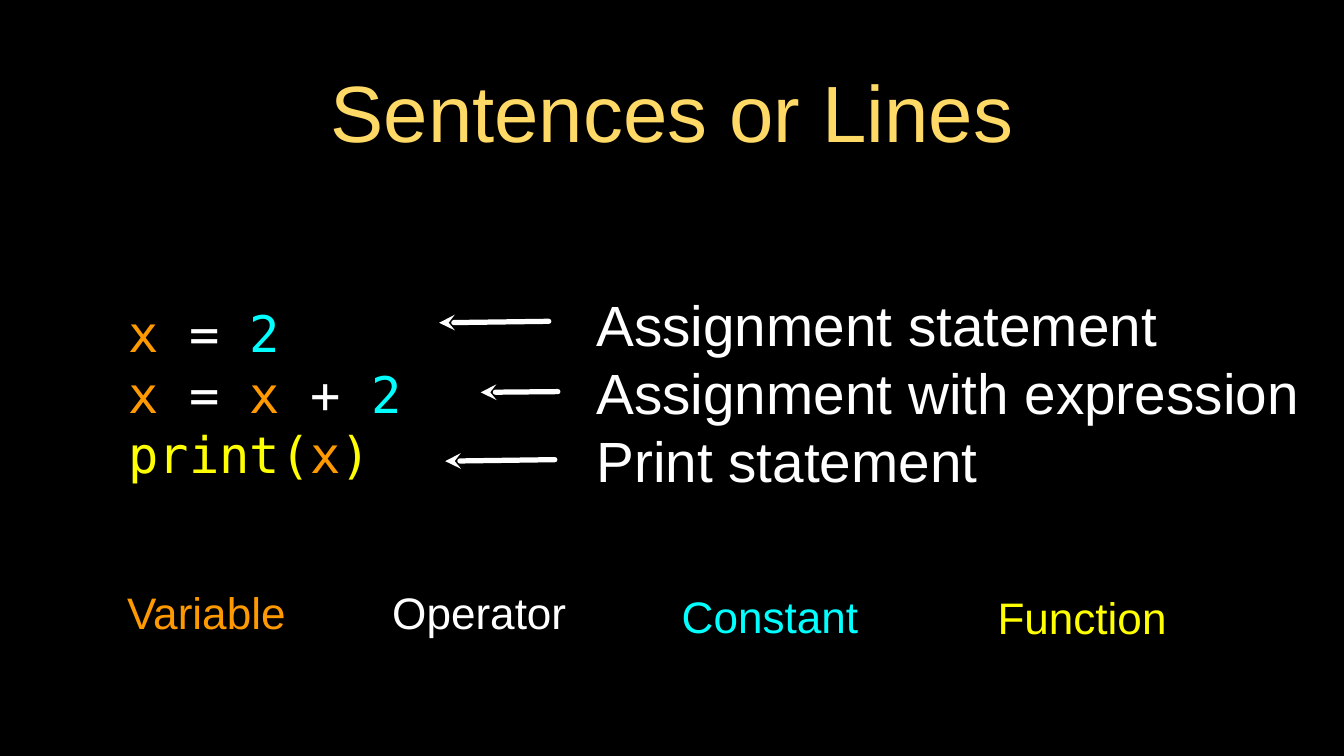
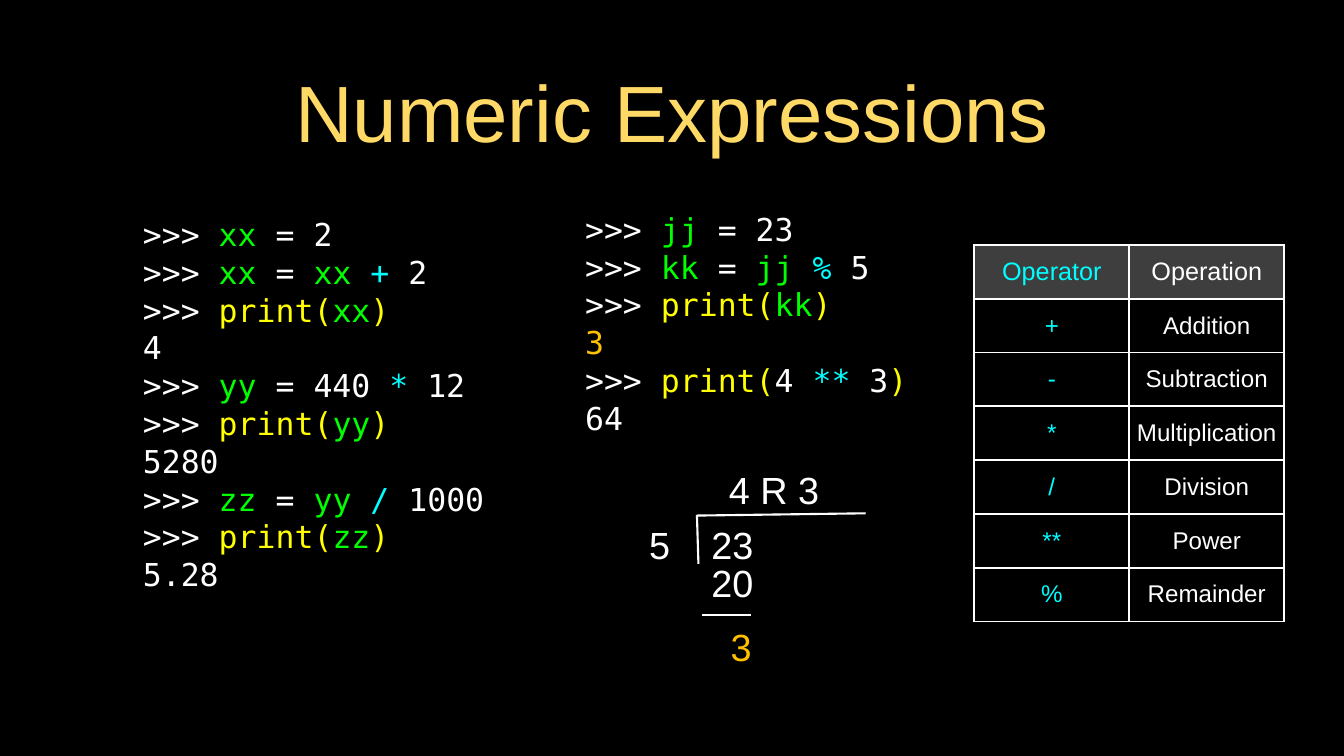
from lxml.etree import SubElement
from pptx import Presentation
from pptx.dml.color import RGBColor
from pptx.enum.shapes import MSO_CONNECTOR
from pptx.enum.text import MSO_ANCHOR, PP_ALIGN
from pptx.oxml import parse_xml
from pptx.oxml.ns import nsdecls, qn
from pptx.util import Inches, Pt

BLACK = RGBColor(0x00, 0x00, 0x00)
WHITE = RGBColor(0xFF, 0xFF, 0xFF)
GOLD = RGBColor(0xFF, 0xD9, 0x66)
AMBER = RGBColor(0xFF, 0xC0, 0x00)
ORANGE = RGBColor(0xFF, 0x99, 0x00)
CYAN = RGBColor(0x00, 0xFF, 0xFF)
YELLOW = RGBColor(0xFF, 0xFF, 0x00)
GREEN = RGBColor(0x00, 0xFF, 0x00)
GRAY = RGBColor(0x7F, 0x7F, 0x7F)

SANS = "Arial"
MONO = "DejaVu Sans Mono"
LEFT, CENTER = PP_ALIGN.LEFT, PP_ALIGN.CENTER
LINE_HEIGHT = 1.2
CELL_INSET = 0.04
HEADER_ALPHA = 49


class Deck:
    def __init__(self, width, height):
        self.presentation = Presentation()
        self.presentation.slide_width = Inches(width)
        self.presentation.slide_height = Inches(height)
        self.slide = None

    def new_slide(self, title):
        layout = self.presentation.slide_layouts[6]
        self.slide = self.presentation.slides.add_slide(layout)
        fill = self.slide.background.fill
        fill.solid()
        fill.fore_color.rgb = BLACK
        self.text((0.89, 0.86, 16, 1.21), [[(title, GOLD)]], 76)

    def add_runs(self, paragraph, runs, size, font, align):
        paragraph.alignment = align
        for text, color in runs:
            run = paragraph.add_run()
            run.text = text
            run.font.name = font
            run.font.size = Pt(size)
            run.font.color.rgb = color

    def text(self, box, lines, size, font=SANS, align=CENTER):
        shape = self.slide.shapes.add_textbox(*map(Inches, box))
        frame = shape.text_frame
        frame.word_wrap = True
        frame.vertical_anchor = MSO_ANCHOR.MIDDLE
        frame.margin_left = frame.margin_right = 0
        frame.margin_top = frame.margin_bottom = 0
        for index, runs in enumerate(lines):
            paragraph = frame.add_paragraph() if index else frame.paragraphs[0]
            paragraph.line_spacing = Pt(size * LINE_HEIGHT)
            self.add_runs(paragraph, runs, size, font, align)

    def code(self, box, lines, size):
        self.text(box, lines, size, MONO, LEFT)

    def line(self, start, end, weight, arrow=False):
        connector = self.slide.shapes.add_connector(
            MSO_CONNECTOR.STRAIGHT, *map(Inches, start + end))
        connector.line.color.rgb = WHITE
        connector.line.width = Pt(weight)
        if arrow:
            outline = connector.line._get_or_add_ln()
            outline.set("cap", "rnd")
            SubElement(outline, qn("a:headEnd"), type="stealth")
        SubElement(connector._element.spPr, qn("a:effectLst"))

    def table(self, box, rows):
        frame = self.slide.shapes.add_table(
            len(rows), len(rows[0]), *map(Inches, box))
        table = frame.table
        table.first_row = table.horz_banding = False
        for row_index, row in enumerate(rows):
            header = row_index == 0
            for column_index, word in enumerate(row):
                cell = table.cell(row_index, column_index)
                cell.vertical_anchor = MSO_ANCHOR.MIDDLE
                cell.margin_left = cell.margin_right = Inches(CELL_INSET)
                cell.margin_top = cell.margin_bottom = Inches(CELL_INSET)
                color = WHITE if column_index else CYAN
                self.add_runs(cell.text_frame.paragraphs[0], [(word, color)],
                              24 if header else 23, SANS, CENTER)
                self.cell_fill(cell, header)
                self.cell_borders(cell, 2)

    def cell_fill(self, cell, header):
        if not header:
            cell.fill.background()
            return
        cell.fill.solid()
        cell.fill.fore_color.rgb = GRAY
        color = cell._tc.tcPr.find(f"{qn('a:solidFill')}/{qn('a:srgbClr')}")
        SubElement(color, qn("a:alpha"), val=str(HEADER_ALPHA * 1000))

    def cell_borders(self, cell, weight):
        properties = cell._tc.get_or_add_tcPr()
        for index, side in enumerate("LRTB"):
            properties.insert(index, parse_xml(
                f'<a:ln{side} {nsdecls("a")} w="{Pt(weight)}"><a:solidFill>'
                f'<a:srgbClr val="{WHITE}"/></a:solidFill></a:ln{side}>'))


def prompt(*runs):
    return [(">>> ", WHITE), *runs]


def prompt_print(name):
    return prompt(("print(", YELLOW), (name, GREEN), (")", YELLOW))


def prompt_assign(name, value):
    return prompt((name, GREEN), (f" = {value}", WHITE))


def prompt_compute(name, operand, operator, value):
    return prompt((name, GREEN), (" = ", WHITE), (f"{operand} ", GREEN),
                  (operator, CYAN), (f" {value}", WHITE))


def output(value, color=WHITE):
    return [(value, color)]


def build_sentences(deck):
    deck.new_slide("Sentences or Lines")
    deck.code((1.7, 2.99, 4.38, 4.42), [
        [("x ", ORANGE), ("= ", WHITE), ("2", CYAN)],
        [("x ", ORANGE), ("= ", WHITE), ("x ", ORANGE), ("+ ", WHITE), ("2", CYAN)],
        [("print(", YELLOW), ("x", ORANGE), (")", YELLOW)],
    ], 48)
    for word, color, left, top, width in [
        ("Variable", ORANGE, 1.45, 7.7, 2.56),
        ("Operator", WHITE, 5.14, 7.7, 2.4),
        ("Constant", CYAN, 8.84, 7.75, 2.69),
        ("Function", YELLOW, 12.67, 7.77, 3.29),
    ]:
        deck.text((left, top, width, 0.79), [[(word, color)]], 42)
    statements = ["Assignment statement", "Assignment with expression",
                  "Print statement"]
    deck.text((7.89, 2.97, 9.63, 4.42),
              [[(statement, WHITE)] for statement in statements], 54, align=LEFT)
    for start, end in [
        ((5.81, 4.27), (7.26, 4.25)),
        ((6.36, 5.19), (7.38, 5.18)),
        ((5.89, 6.1), (7.34, 6.08)),
    ]:
        deck.line(start, end, 5, arrow=True)


def build_expressions(deck):
    deck.new_slide("Numeric Expressions")
    deck.code((1.89, 2.44, 4.88, 5.81), [
        prompt_assign("xx", "2"),
        prompt_compute("xx", "xx", "+", "2"),
        prompt_print("xx"),
        output("4"),
        prompt(("yy", GREEN), (" = 440 ", WHITE), ("*", CYAN), (" 12", WHITE)),
        prompt_print("yy"),
        output("5280"),
        prompt_compute("zz", "yy", "/", "1000"),
        prompt_print("zz"),
        output("5.28"),
    ], 30)
    deck.code((7.74, 2.51, 4.4, 3.53), [
        prompt_assign("jj", "23"),
        prompt_compute("kk", "jj", "%", "5"),
        prompt_print("kk"),
        output("3", AMBER),
        prompt(("print(", YELLOW), ("4 ", WHITE), ("**", CYAN), (" 3", WHITE),
               (")", YELLOW)),
        output("64"),
    ], 30)
    deck.table((12.89, 3.24, 4.1, 4.98), [
        ("Operator", "Operation"),
        ("+", "Addition"),
        ("-", "Subtraction"),
        ("*", "Multiplication"),
        ("/", "Division"),
        ("**", "Power"),
        ("%", "Remainder"),
    ])
    for start, end in [
        ((9.22, 6.81), (9.24, 7.46)),
        ((9.22, 6.82), (11.45, 6.79)),
        ((9.29, 8.14), (9.93, 8.14)),
    ]:
        deck.line(start, end, 2)
    for word, color, left, top, width in [
        ("5", WHITE, 8.54, 6.86, 0.37),
        ("23", WHITE, 9.38, 6.86, 0.62),
        ("4 R 3", WHITE, 9.64, 6.13, 1.2),
        ("20", WHITE, 9.38, 7.36, 0.62),
        ("3", AMBER, 9.62, 8.21, 0.37),
    ]:
        deck.text((left, top, width, 0.68), [[(word, color)]], 36)


deck = Deck(17.78, 10)
build_sentences(deck)
build_expressions(deck)
deck.presentation.save("out.pptx")
